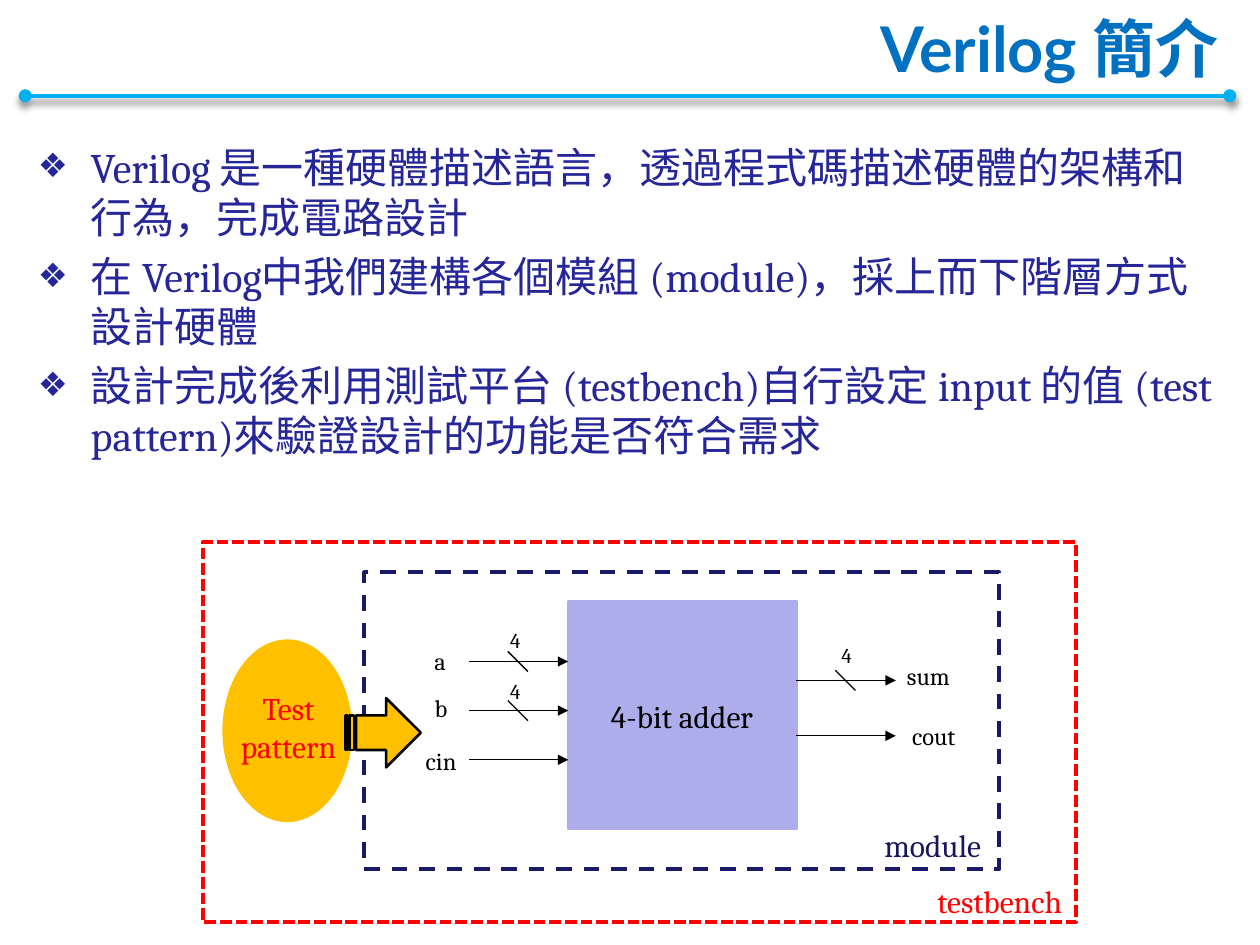
from lxml.etree import SubElement
from pptx import Presentation
from pptx.dml.color import RGBColor
from pptx.enum.dml import MSO_LINE
from pptx.enum.shapes import MSO_CONNECTOR, MSO_SHAPE
from pptx.enum.text import MSO_ANCHOR, MSO_AUTO_SIZE, PP_ALIGN
from pptx.oxml.ns import qn
from pptx.util import Inches, Pt

COLORS = {
    "title": "0070C0", "rule": "00B0F0", "body": "262699", "adder": "ADADEB",
    "module": "191966", "module_text": "17175C", "testbench": "FF0000",
    "pattern": "FFC000", "black": "000000",
}
BODY_FONT = "Cambria"
BULLETS = [
    "Verilog 是一種硬體描述語言，透過程式碼描述硬體的架構和行為，完成電路設計",
    "在 Verilog中我們建構各個模組 (module)，採上而下階層方式設計硬體",
    "設計完成後利用測試平台 (testbench)自行設定 input 的值 (test pattern)來驗證設計的功能是否符合需求",
]


def color(name):
    return RGBColor.from_string(COLORS[name])


def place(shape, left, top, width, height):
    shape.left, shape.top = Inches(left), Inches(top)
    shape.width, shape.height = Inches(width), Inches(height)


def add_run(paragraph, text, size, color_name, font=BODY_FONT, bold=False):
    run = paragraph.add_run()
    run.text = text
    run.font.name = font
    run.font.size = Pt(size)
    run.font.bold = bold
    run.font.color.rgb = color(color_name)


def add_label(shapes, text, left, top, width, height, size, color_name="black",
              wrap=False, align=PP_ALIGN.LEFT):
    box = shapes.add_textbox(Inches(left), Inches(top), Inches(width), Inches(height))
    frame = box.text_frame
    frame.word_wrap = wrap
    frame.auto_size = MSO_AUTO_SIZE.SHAPE_TO_FIT_TEXT
    paragraph = frame.paragraphs[0]
    paragraph.alignment = align
    for number, line in enumerate(text.split("\n")):
        if number:
            paragraph.add_line_break()
        add_run(paragraph, line, size, color_name)


def add_block(shapes, kind, left, top, width, height, line, line_width,
              fill=None, dash=None):
    shape = shapes.add_shape(kind, Inches(left), Inches(top), Inches(width), Inches(height))
    shape.shadow.inherit = False
    if fill:
        shape.fill.solid()
        shape.fill.fore_color.rgb = color(fill)
    else:
        shape.fill.background()
    shape.line.color.rgb = color(line)
    shape.line.width = Pt(line_width)
    if dash:
        shape.line.dash_style = dash


def add_line(shapes, start, end, color_name="black", width=0.75, head=None, tail=None):
    connector = shapes.add_connector(
        MSO_CONNECTOR.STRAIGHT, *(Inches(value) for value in (*start, *end)))
    connector.line.color.rgb = color(color_name)
    connector.line.width = Pt(width)
    line = connector.line._get_or_add_ln()
    for tag, kind in (("a:headEnd", head), ("a:tailEnd", tail)):
        if kind:
            SubElement(line, qn(tag), type=kind)
    return SubElement(connector._element.spPr, qn("a:effectLst"))


def add_header(slide):
    effects = add_line(slide.shapes, (9.76, 0.76), (0.2, 0.76), "rule", 2.5, "oval", "oval")
    shadow = SubElement(effects, qn("a:outerShdw"), blurRad=str(Pt(4)), dist=str(Pt(3)),
                        dir="5400000", rotWithShape="0")
    shade = SubElement(shadow, qn("a:srgbClr"), val=COLORS["black"])
    SubElement(shade, qn("a:alpha"), val="40000")

    title = slide.shapes.title
    place(title, 0.2, 0.05, 9.57, 0.65)
    frame = title.text_frame
    frame.auto_size = MSO_AUTO_SIZE.NONE
    frame.vertical_anchor = MSO_ANCHOR.MIDDLE
    frame.paragraphs[0].alignment = PP_ALIGN.RIGHT
    add_run(frame.paragraphs[0], "Verilog 簡介", 36, "title", "Lato", True)


def add_bullets(slide):
    body = slide.placeholders[1]
    place(body, 0.2, 1.07, 9.59, 6.25)
    frame = body.text_frame
    frame.auto_size = MSO_AUTO_SIZE.NONE
    for number, text in enumerate(BULLETS):
        paragraph = frame.add_paragraph() if number else frame.paragraphs[0]
        paragraph.space_before = Pt(4.8)
        properties = paragraph._p.get_or_add_pPr()
        properties.set("marL", str(Inches(0.42)))
        properties.set("indent", str(Inches(-0.42)))
        SubElement(properties, qn("a:buSzPct"), val="80000")
        SubElement(properties, qn("a:buChar"), char="❖")
        add_run(paragraph, text, 24, "body")


def add_adder(slide):
    shapes = slide.shapes.add_group_shape().shapes
    add_block(shapes, MSO_SHAPE.RECTANGLE, 4.51, 4.77, 1.81, 1.81, "adder", 1.5, "adder")
    add_label(shapes, "4-bit adder", 4.75, 5.48, 1.41, 0.4, 18)

    # Ports: arrow start, arrow height, whether it is a 4-bit bus
    for left, y, is_bus in ((3.72, 5.25, True), (3.72, 5.64, True), (3.72, 6.03, False),
                            (6.32, 5.4, True), (6.32, 5.84, False)):
        add_line(shapes, (left, y), (left + 0.79, y), tail="triangle")
        if is_bus:
            add_line(shapes, (left + 0.31, y - 0.08), (left + 0.47, y + 0.08))

    # Port names
    for name, left, top, width in (("a", 3.35, 5.08, 0.3), ("b", 3.35, 5.45, 0.31),
                                   ("cin", 3.28, 5.87, 0.45), ("sum", 7.1, 5.2, 0.56),
                                   ("cout", 7.14, 5.67, 0.57)):
        add_label(shapes, name, left, top, width, 0.34, 14)

    # Bus widths
    for left, top in ((3.95, 4.93), (3.95, 5.34), (6.58, 5.05)):
        add_label(shapes, "4", left, top, 0.29, 0.3, 12, wrap=True)


def add_testbench(slide):
    shapes = slide.shapes
    # Nested frames
    add_block(shapes, MSO_SHAPE.RECTANGLE, 2.89, 4.54, 5.04, 2.36, "module", 2.25,
              dash=MSO_LINE.DASH)
    add_label(shapes, "module", 6.92, 6.51, 1.02, 0.4, 18, "module_text")
    add_block(shapes, MSO_SHAPE.RECTANGLE, 1.61, 4.3, 6.93, 3.02, "testbench", 2.25,
              dash=MSO_LINE.SQUARE_DOT)
    add_label(shapes, "testbench", 7.34, 6.95, 1.25, 0.4, 18, "testbench")

    # Test pattern feeding the module
    add_block(shapes, MSO_SHAPE.OVAL, 1.77, 5.08, 1.02, 1.44, "pattern", 0.75, "pattern")
    add_label(shapes, "Test\npattern", 1.79, 5.42, 1, 0.71, 18, "testbench",
              align=PP_ALIGN.CENTER)
    add_block(shapes, MSO_SHAPE.STRIPED_RIGHT_ARROW, 2.74, 5.54, 0.6, 0.55, "black", 1.5,
              "pattern")


def main():
    presentation = Presentation()
    presentation.slide_width = Inches(10)
    presentation.slide_height = Inches(7.5)
    slide = presentation.slides.add_slide(presentation.slide_layouts[1])
    add_header(slide)
    add_bullets(slide)
    add_adder(slide)
    add_testbench(slide)
    presentation.save("out.pptx")


if __name__ == "__main__":
    main()
